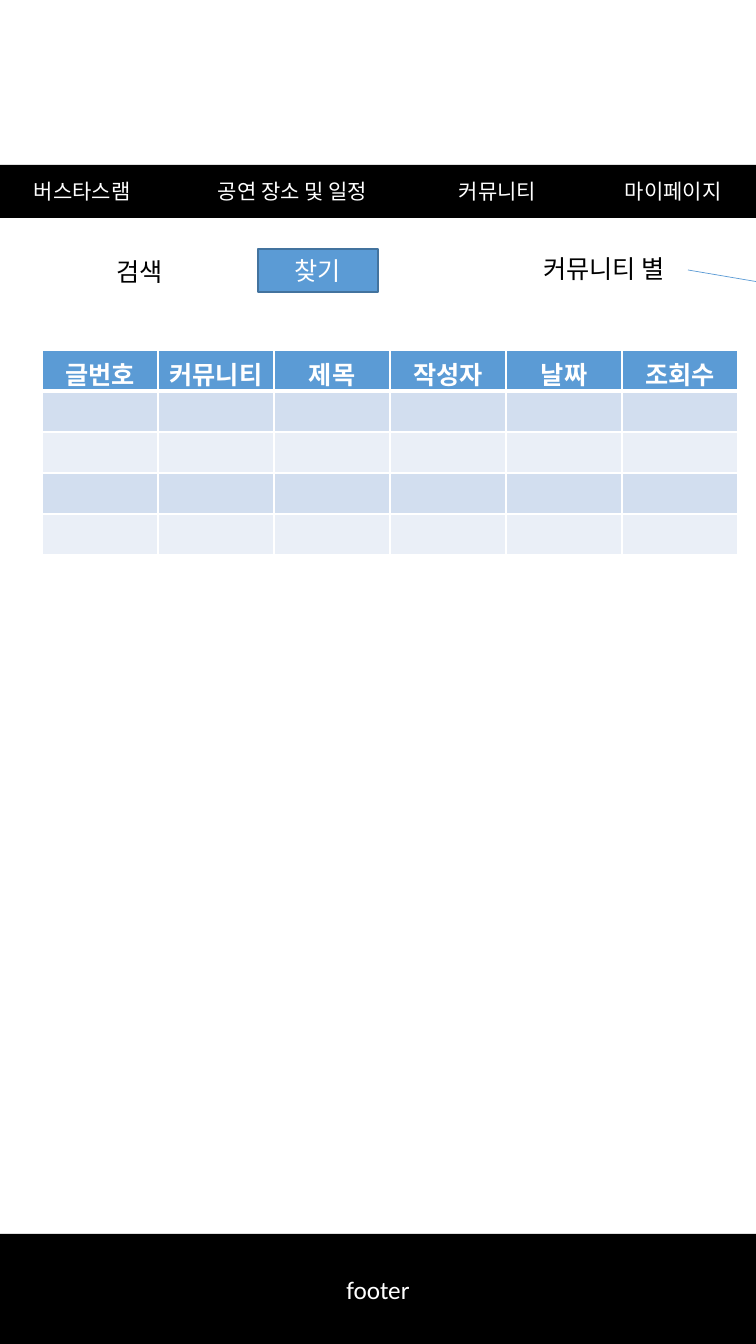
from lxml import etree
from pptx import Presentation
from pptx.dml.color import RGBColor
from pptx.enum.shapes import MSO_CONNECTOR, MSO_SHAPE
from pptx.enum.text import MSO_ANCHOR, MSO_AUTO_SIZE, PP_ALIGN
from pptx.oxml.ns import qn
from pptx.util import Emu, Pt

RECT = MSO_SHAPE.RECTANGLE
STRAIGHT = MSO_CONNECTOR.STRAIGHT
MIDDLE = MSO_ANCHOR.MIDDLE
GROW = MSO_AUTO_SIZE.SHAPE_TO_FIT_TEXT
LEFT, CENTER = PP_ALIGN.LEFT, PP_ALIGN.CENTER

BLACK = RGBColor(0x00, 0x00, 0x00)
WHITE = RGBColor(0xFF, 0xFF, 0xFF)
BLUE = RGBColor(0x5B, 0x9B, 0xD5)
DARK_BLUE = RGBColor(0x43, 0x73, 0x9E)
BAND_DARK = RGBColor(0xD2, 0xDE, 0xEF)
BAND_LIGHT = RGBColor(0xEA, 0xEF, 0xF7)

WIDTH, HEIGHT = 756, 1344
PX_PER_INCH = 100.8
BLANK_LAYOUT = 6


def px(n):
    return Emu(round(n * 914400 / PX_PER_INCH))


class Page:
    """Holds the text style and the slide being drawn."""

    def __init__(self, slide, font="Calibri", size=18):
        self.shapes = slide.shapes
        self.font, self.size = font, size

    def add_text(self, tf, text, color, size=None, bold=False, align=CENTER):
        p = tf.paragraphs[0]
        p.alignment = align
        r = p.add_run()
        r.text = text
        r.font.name = self.font
        r.font.size = Pt(size or self.size)
        r.font.bold = bold
        r.font.color.rgb = color
        return p

    def rect(self, x, y, w, h, fill, line=None):
        sp = self.shapes.add_shape(RECT, px(x), px(y), px(w), px(h))
        sp.shadow.inherit = False
        sp.fill.solid()
        sp.fill.fore_color.rgb = fill
        if line is None:
            sp.line.fill.background()
        else:
            sp.line.color.rgb = line
            sp.line.width = Pt(1)
        tf = sp.text_frame
        tf.vertical_anchor = MIDDLE
        return tf

    def menu(self, x, y, w, h, items, size):
        """Black bar with (left edge, label) items set on tab stops."""
        tf = self.rect(x, y, w, h, BLACK)
        start = items[0][0]
        tf.margin_left, tf.margin_right = px(start), 0
        text = "\t".join(label for _, label in items)
        p = self.add_text(tf, text, WHITE, size, align=LEFT)
        tabs = etree.SubElement(p._p.get_or_add_pPr(), qn("a:tabLst"))
        for left, _ in items[1:]:
            etree.SubElement(tabs, qn("a:tab"), pos=str(px(left - start)), algn="l")

    def label(self, x, y, w, h, text):
        tf = self.shapes.add_textbox(px(x), px(y), px(w), px(h)).text_frame
        tf.word_wrap = True
        tf.auto_size = GROW
        self.add_text(tf, text, BLACK)

    def arrow(self, x1, y1, x2, y2, color, width):
        cx = self.shapes.add_connector(STRAIGHT, px(x1), px(y1), px(x2), px(y2))
        cx.line.color.rgb = color
        cx.line.width = Pt(width)
        sp_pr = cx._element.spPr
        etree.SubElement(sp_pr.find(qn("a:ln")), qn("a:tailEnd"), type="triangle")
        etree.SubElement(sp_pr, qn("a:effectLst"))

    def border(self, cell, bottom):
        tc_pr = cell._tc.get_or_add_tcPr()
        sides = (("L", 1), ("R", 1), ("T", 1), ("B", bottom))
        for i, (side, width) in enumerate(sides):
            ln = etree.Element(qn("a:ln" + side), w=str(Pt(width)))
            fill = etree.SubElement(ln, qn("a:solidFill"))
            etree.SubElement(fill, qn("a:srgbClr"), val=str(WHITE))
            tc_pr.insert(i, ln)

    def table(self, x, y, col_w, row_h, headers, rows):
        cols = len(headers)
        table = self.shapes.add_table(rows, cols, px(x), px(y),
                                      px(col_w * cols), px(row_h * rows)).table
        for col in table.columns:
            col.width = px(col_w)
        for i, row in enumerate(table.rows):
            row.height = px(row_h)
            for j, cell in enumerate(row.cells):
                cell.fill.solid()
                if i == 0:
                    cell.fill.fore_color.rgb = BLUE
                    self.add_text(cell.text_frame, headers[j], WHITE, bold=True)
                else:
                    cell.fill.fore_color.rgb = BAND_DARK if i % 2 else BAND_LIGHT
                self.border(cell, bottom=1 if i else 3)


def main():
    prs = Presentation()
    prs.slide_width, prs.slide_height = px(WIDTH), px(HEIGHT)
    page = Page(prs.slides.add_slide(prs.slide_layouts[BLANK_LAYOUT]))

    # Navigation bar and footer
    page.menu(0, 165, WIDTH, 53, [(34, "버스타스램"), (218, "공연 장소 및 일정"),
                                  (459, "커뮤니티"), (625, "마이페이지")], size=15)
    page.add_text(page.rect(0, 1234, WIDTH, 110, BLACK), "footer", WHITE)

    # Community filter, with an arrow leading off to the right
    page.arrow(688, 270, 841, 296, BLUE, 0.5)
    page.label(508, 248, 192, 40, "커뮤니티 별")

    # Search
    page.label(44, 251, 192, 40, "검색")
    page.add_text(page.rect(258, 249, 120, 43, BLUE, DARK_BLUE), "찾기", WHITE)

    # Post list
    headers = ["글번호", "커뮤니티", "제목", "작성자", "날짜", "조회수"]
    page.table(42, 350, 116, 41, headers, rows=5)

    prs.save("out.pptx")


if __name__ == "__main__":
    main()
